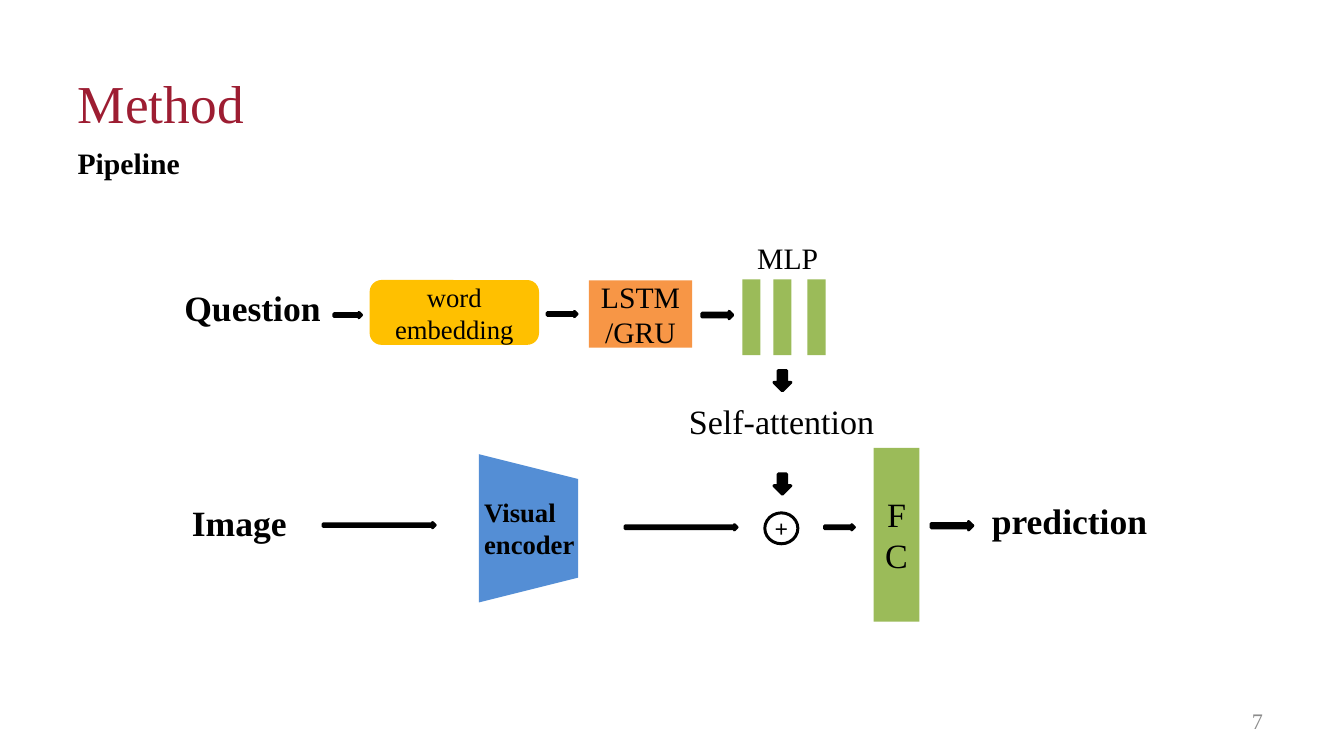
from pptx import Presentation
from pptx.dml.color import RGBColor
from pptx.enum.shapes import MSO_SHAPE
from pptx.enum.text import MSO_ANCHOR, MSO_AUTO_SIZE, PP_ALIGN
from pptx.util import Inches, Pt

RECT, ROUND, OVAL = MSO_SHAPE.RECTANGLE, MSO_SHAPE.ROUNDED_RECTANGLE, MSO_SHAPE.OVAL
TRAPEZOID, ARROW = MSO_SHAPE.TRAPEZOID, MSO_SHAPE.RIGHT_ARROW
TOP, MIDDLE = MSO_ANCHOR.TOP, MSO_ANCHOR.MIDDLE
LEFT, CENTER, RIGHT = PP_ALIGN.LEFT, PP_ALIGN.CENTER, PP_ALIGN.RIGHT
NO_FIT = MSO_AUTO_SIZE.NONE

FONT = "Times New Roman"
BLACK = RGBColor(0x00, 0x00, 0x00)
CRIMSON = RGBColor(0x9D, 0x1D, 0x32)
GRAY = RGBColor(0x8C, 0x8C, 0x8C)
GREEN = RGBColor(0x9B, 0xBB, 0x59)
YELLOW = RGBColor(0xFF, 0xC0, 0x00)
ORANGE = RGBColor(0xF7, 0x96, 0x46)
BLUE = RGBColor(0x54, 0x8E, 0xD5)

TITLE = ("Method", (0.63, 0.61, 5.43, 0.71))
PAGE_NUMBER = ("7", (9.03, 6.57, 2.94, 0.38))
LABELS = [
    ("Pipeline", (0.63, 1.31, 2.6, 0.44), 20, True),
    ("Question", (1.63, 2.63, 1.51, 0.5), 24, True),
    ("Image", (1.7, 4.65, 1.15, 0.5), 24, True),
    ("prediction", (9.2, 4.63, 1.78, 0.5), 24, True),
    ("Visual encoder", (4.44, 4.6, 1.15, 0.71), 18, True),
    ("MLP", (7, 2.2, 0.81, 0.44), 20, False),
    ("Self-attention", (6.36, 3.71, 2.37, 0.49), 23, False),
]
BLOCKS = [
    ("word embedding", ROUND, (3.48, 2.64, 1.56, 0.58), YELLOW, YELLOW, 18),
    ("LSTM/GRU", RECT, (5.52, 2.63, 0.97, 0.63), ORANGE, None, 20),
    ("FC", RECT, (8.19, 4.2, 0.43, 1.63), GREEN, None, 23),
]
MLP_LAYERS = [6.96, 7.25, 7.57]
ENCODER = (4.26, 4.49, 1.39, 0.93)
SUM_NODE = ("+", (7.17, 4.81, 0.31, 0.29))
RIGHT_ARROWS = [
    (3.13, 2.93, 0.26, 0.05),
    (5.13, 2.92, 0.28, 0.05),
    (6.58, 2.92, 0.29, 0.07),
    (3.03, 4.9, 1.05, 0.05),
    (5.86, 4.92, 1.05, 0.05),
    (7.73, 4.92, 0.28, 0.05),
    (8.73, 4.89, 0.39, 0.08),
]
DOWN_ARROWS = [(7.24, 3.49, 0.19, 0.16), (7.24, 4.46, 0.19, 0.16)]


def write(sp, text, size, color=BLACK, bold=False, align=LEFT, anchor=TOP):
    tf = sp.text_frame
    tf.text = text
    tf.word_wrap = True
    tf.auto_size = NO_FIT
    tf.vertical_anchor = anchor
    p = tf.paragraphs[0]
    p.alignment = align
    font = p.runs[0].font
    font.name, font.size, font.bold = FONT, Pt(size), bold
    font.color.rgb = color


def add_label(slide, text, box, size, **style):
    sp = slide.shapes.add_textbox(*map(Inches, box))
    write(sp, text, size, **style)
    return sp


def add_block(slide, kind, box, fill=None, line=None, rotation=0):
    sp = slide.shapes.add_shape(kind, *map(Inches, box))
    sp.shadow.inherit = False
    sp.rotation = rotation
    if fill is None:
        sp.fill.background()
    else:
        sp.fill.solid()
        sp.fill.fore_color.rgb = fill
    if line is None:
        sp.line.fill.background()
    else:
        sp.line.color.rgb = line
        sp.line.width = Pt(2)
    return sp


def main():
    prs = Presentation()
    prs.slide_width, prs.slide_height = Inches(12.6), Inches(7.09)
    slide = prs.slides.add_slide(prs.slide_layouts[5])

    text, box = TITLE
    title = slide.shapes.title
    title.left, title.top, title.width, title.height = map(Inches, box)
    write(title, text, 36, CRIMSON)

    text, box = PAGE_NUMBER
    number = add_label(slide, text, box, 15, color=GRAY, align=RIGHT, anchor=MIDDLE)
    number.text_frame.margin_right = Inches(0.13)

    for text, kind, box, fill, line, size in BLOCKS:
        sp = add_block(slide, kind, box, fill, line)
        write(sp, text, size, align=CENTER, anchor=MIDDLE)
    for x in MLP_LAYERS:
        add_block(slide, RECT, (x, 2.62, 0.17, 0.71), GREEN)
    add_block(slide, TRAPEZOID, ENCODER, BLUE, rotation=90)

    text, box = SUM_NODE
    node = add_block(slide, OVAL, box, line=BLACK)
    write(node, text, 16, bold=True, align=CENTER, anchor=MIDDLE)
    tf = node.text_frame
    tf.margin_left = tf.margin_right = tf.margin_top = tf.margin_bottom = 0

    for arrows, rotation in ((RIGHT_ARROWS, 0), (DOWN_ARROWS, 90)):
        for box in arrows:
            add_block(slide, ARROW, box, BLACK, BLACK, rotation)

    for text, box, size, bold in LABELS:
        add_label(slide, text, box, size, bold=bold)

    prs.save("out.pptx")


if __name__ == "__main__":
    main()
